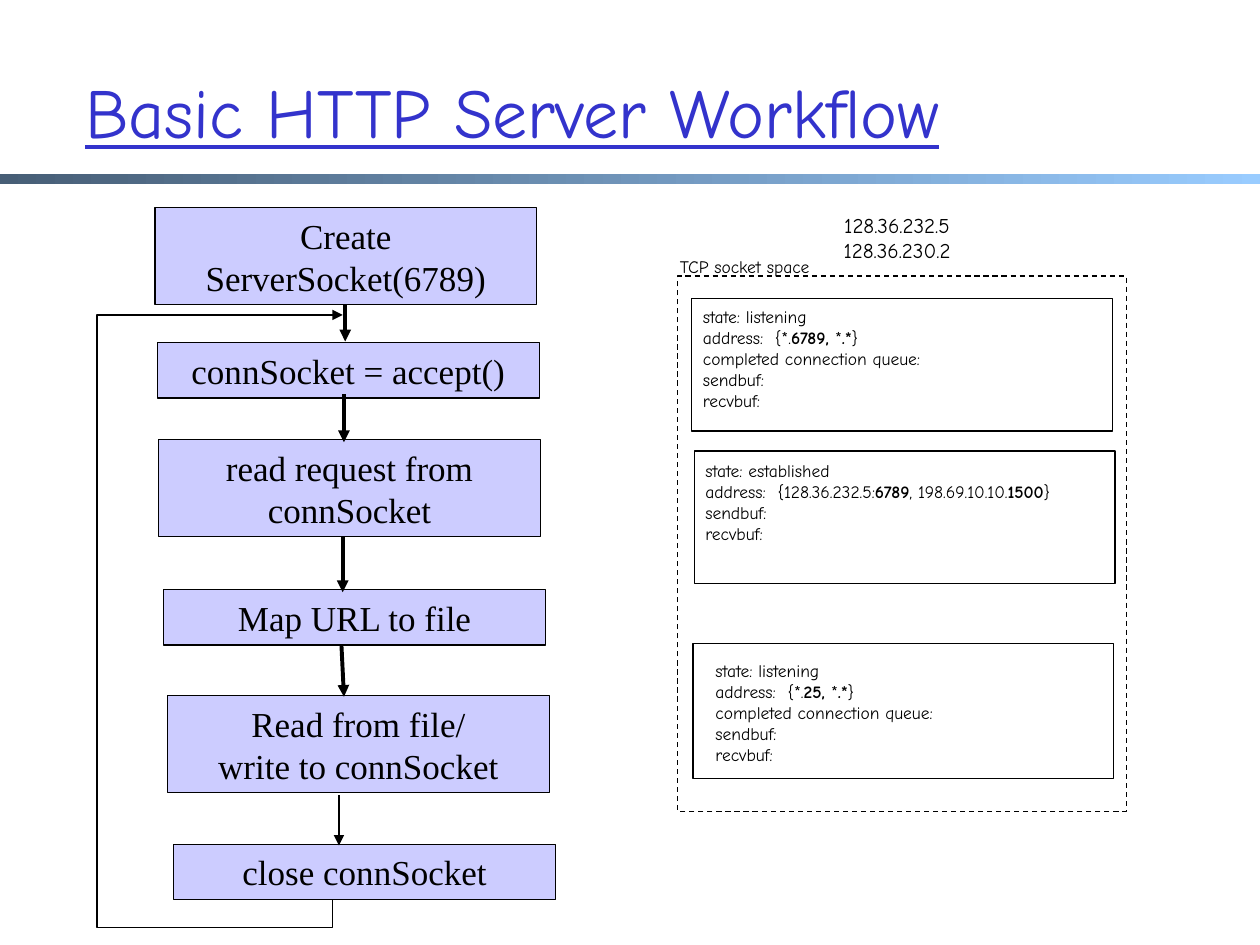
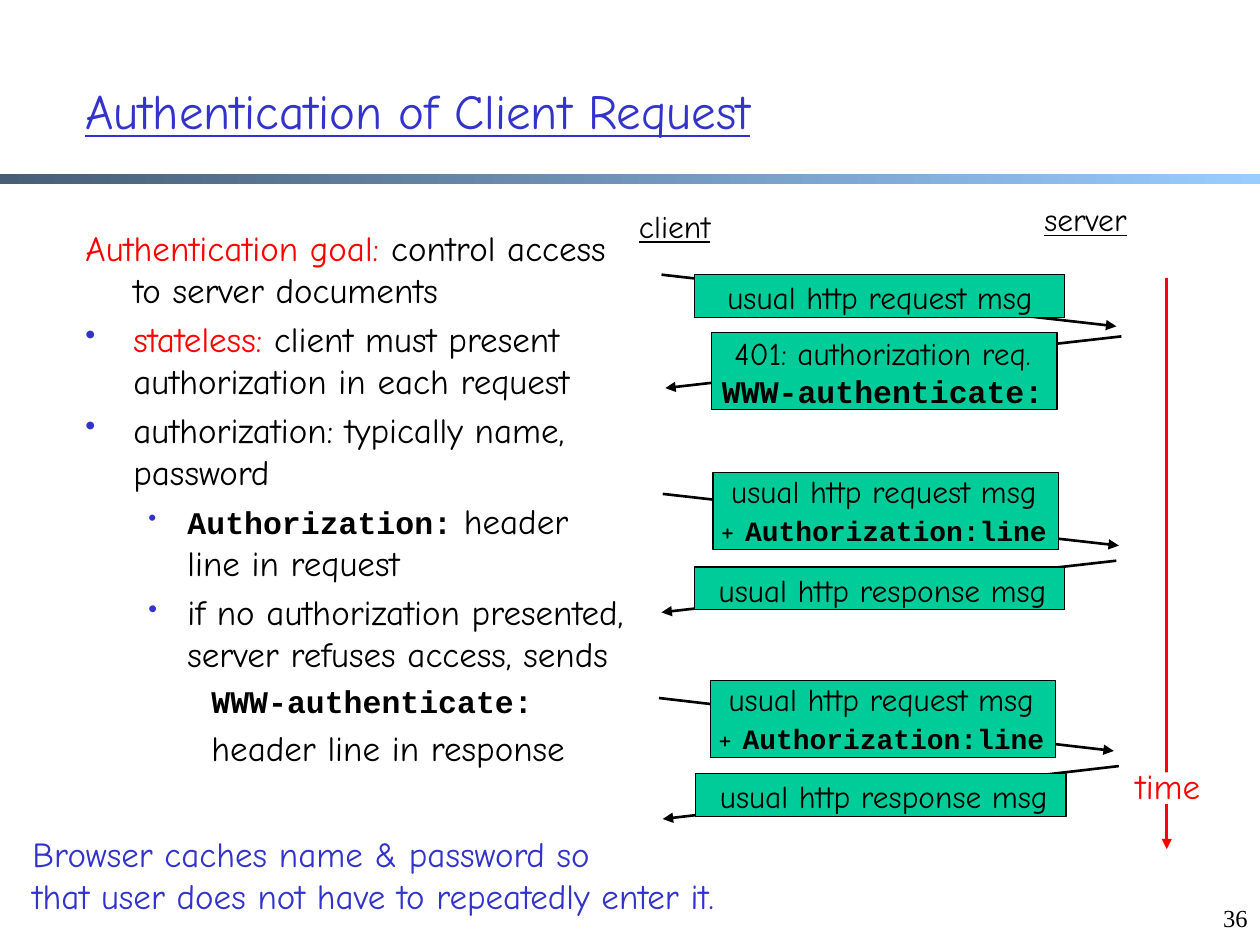
from lxml import etree
from pptx import Presentation
from pptx.dml.color import RGBColor
from pptx.enum.dml import MSO_LINE
from pptx.enum.shapes import MSO_CONNECTOR, MSO_SHAPE
from pptx.enum.text import MSO_ANCHOR, PP_ALIGN
from pptx.oxml.ns import qn
from pptx.util import Inches, Pt

BLACK = RGBColor(0x00, 0x00, 0x00)
WHITE = RGBColor(0xFF, 0xFF, 0xFF)
RED = RGBColor(0xFF, 0x00, 0x00)
BLUE = RGBColor(0x33, 0x33, 0xCC)
LILAC = RGBColor(0xCC, 0xCC, 0xFF)
GREEN = RGBColor(0x00, 0xCC, 0x99)
BAND_DARK = RGBColor(0x47, 0x5E, 0x76)
BAND_LIGHT = RGBColor(0x99, 0xCC, 0xFF)

COMIC, COURIER, TIMES = "Comic Neue", "Courier New", "Times New Roman"

BOLD = {"bold": True}
ALERT = {"color": RED}
CODE = {"name": COURIER, "bold": True}
CODE_18 = {**CODE, "size": 18}
CODE_16 = {**CODE, "size": 16}

# left, top, line count, text
STEPS = [
    (1.23, 1.65, 2, ["Create ServerSocket(6789)"]),
    (1.25, 2.72, 1, ["connSocket = accept()"]),
    (1.26, 3.49, 2, ["read request from connSocket"]),
    (1.30, 4.68, 1, ["Map URL to file"]),
    (1.33, 5.52, 2, ["Read from file/", "write to connSocket"]),
    (1.38, 6.70, 1, ["close connSocket"]),
]
# from, to, width
STEP_ARROWS = [
    ((2.74, 2.42), (2.74, 2.71), 2.25),
    ((2.73, 3.13), (2.73, 3.51), 2.25),
    ((2.72, 4.26), (2.72, 4.70), 2.25),
    ((2.71, 5.12), (2.73, 5.53), 2.25),
    ((2.69, 6.31), (2.69, 6.71), 1.5),
]
LOOP_BACK = [(2.64, 7.14), (2.64, 7.36), (0.77, 7.36), (0.77, 2.5), (2.72, 2.5)]

BUFFERS = ["sendbuf:", "recvbuf:"]
QUEUE = ["completed connection queue:"] + BUFFERS


def listening(port):
    """Return the paragraphs describing a listening socket."""
    address = ["address:  {*.", (port + ", ", BOLD), "*", (".*", BOLD), "}"]
    return ["state: listening", address] + QUEUE


ESTABLISHED = ["state: established",
               ["address:  {128.36.232.5:", ("6789", BOLD),
                ", 198.69.10.10.", ("1500", BOLD), "}"]] + BUFFERS

# frame, text position, text
SOCKETS = [
    ((5.49, 2.37, 3.34, 1.05), (5.48, 2.38, 2.09, 0.93), listening("6789")),
    ((5.51, 3.58, 3.34, 1.05), (5.50, 3.60, 3.42, 0.77), ESTABLISHED),
    ((5.50, 5.11, 3.34, 1.07), (5.58, 5.19, 2.05, 0.93), listening("25")),
]

GOALS = [
    [("Authentication goal:", ALERT), " control access to server documents"],
    [("stateless:", ALERT),
     " client must present authorization in each request"],
    "authorization: typically name, password",
    [("Authorization:", CODE_18), " header line in request"],
    "if no authorization presented, server refuses access, sends",
    [("WWW-authenticate:", CODE_18)],
    "header line in response",
]
# left margin, first line indent, bullet size in percent (0 for no bullet)
PLAIN, POINT = (0.38, -0.38, 0), (0.38, -0.38, 85)
SUBPOINT, DETAIL = (0.81, -0.31, 75), (1.25, -0.25, 0)
GOAL_STYLES = [PLAIN, POINT, POINT, SUBPOINT, SUBPOINT, DETAIL, DETAIL]

REQUEST, RESPONSE = ["usual http request msg"], ["usual http response msg"]
CHALLENGE = ["401: authorization req.", [("WWW-authenticate:", CODE)]]
AUTHORIZED = REQUEST + [["+ ", ("Authorization:line", CODE_16)]]
# arrow from, arrow to, box left and top, text left, top and width, text
MESSAGES = [
    ((5.25, 2.18), (8.86, 2.59), (5.51, 2.18), (5.52, 2.16, 2.93), REQUEST),
    ((8.90, 2.67), (5.28, 3.08), (5.65, 2.64), (5.56, 2.60, 2.89), CHALLENGE),
    ((5.26, 3.92), (8.88, 4.33), (5.66, 3.75), (5.55, 3.70, 2.93), AUTHORIZED),
    ((8.86, 4.45), (5.25, 4.86), (5.51, 4.50), (5.49, 4.48, 3.03), RESPONSE),
    ((5.23, 5.54), (8.84, 5.96), (5.64, 5.40), (5.53, 5.35, 2.93), AUTHORIZED),
    ((8.88, 6.08), (5.26, 6.50), (5.52, 6.14), (5.50, 6.12, 3.03), RESPONSE),
]


def style_run(r, name=None, size=None, bold=None, color=None):
    """Apply what a run changes from its paragraph."""
    f = r.font
    f.name, f.bold = name, bold
    if size:
        f.size = Pt(size)
    if color is not None:
        f.color.rgb = color


def fill_text(tf, paragraphs, size, name=COMIC, color=BLACK,
              align=PP_ALIGN.LEFT, underline=None):
    """Write paragraphs; each is a string or a list of plain or styled runs."""
    tf.word_wrap = True
    for i, parts in enumerate(paragraphs):
        p = tf.paragraphs[0] if i == 0 else tf.add_paragraph()
        p.alignment = align
        f = p.font
        f.name, f.size, f.underline = name, Pt(size), underline
        f.color.rgb = color
        for part in [parts] if isinstance(parts, str) else parts:
            text, changes = (part, {}) if isinstance(part, str) else part
            r = p.add_run()
            r.text = text
            # Runs carry the full font so that every viewer shows it.
            style_run(r, **{"name": name, "size": size, "color": color,
                            **changes})
            r.font.underline = underline


def add_text(slide, box, paragraphs, size, anchor=MSO_ANCHOR.TOP, **style):
    """Add a text box and return its text frame."""
    tf = slide.shapes.add_textbox(*map(Inches, box)).text_frame
    tf.vertical_anchor = anchor
    fill_text(tf, paragraphs, size, **style)
    return tf


def add_rect(slide, box, fill=None, line=BLACK):
    """Add a rectangle, with or without a fill and a thin line."""
    sp = slide.shapes.add_shape(MSO_SHAPE.RECTANGLE, *map(Inches, box))
    sp.shadow.inherit = False
    if fill is None:
        sp.fill.background()
    else:
        sp.fill.solid()
        sp.fill.fore_color.rgb = fill
    if line is None:
        sp.line.fill.background()
    else:
        sp.line.color.rgb = line
        sp.line.width = Pt(0.75)
    return sp


def add_arrowhead(sp):
    """Put a triangle at the end of a line."""
    ln = sp.line._get_or_add_ln()
    etree.SubElement(ln, qn("a:tailEnd"), type="triangle")


def add_arrow(slide, start, end, width=1.5, color=BLACK):
    """Add a straight arrow."""
    cx = slide.shapes.add_connector(MSO_CONNECTOR.STRAIGHT,
                                    *map(Inches, start + end))
    cx.line.color.rgb = color
    cx.line.width = Pt(width)
    add_arrowhead(cx)
    etree.SubElement(cx._element.spPr, qn("a:effectLst"))


def add_path_arrow(slide, points):
    """Add an open bent arrow through the points."""
    start, *rest = [(Inches(x), Inches(y)) for x, y in points]
    builder = slide.shapes.build_freeform(*start)
    builder.add_line_segments(rest, close=False)
    sp = builder.convert_to_shape()
    sp.shadow.inherit = False
    sp.fill.background()
    sp.line.color.rgb = BLACK
    sp.line.width = Pt(0.75)
    add_arrowhead(sp)


def set_indent(p, left, first, bullet_size):
    """Set a paragraph's indents and its bullet, if it has one."""
    pPr = p._p.get_or_add_pPr()
    pPr.set("marL", str(Inches(left)))
    pPr.set("indent", str(Inches(first)))
    p.space_before = Pt(4)
    parts = []
    if bullet_size:
        color = etree.Element(qn("a:buClr"))
        etree.SubElement(color, qn("a:srgbClr"), val=str(BLUE))
        size = etree.Element(qn("a:buSzPct"), val=str(bullet_size * 1000))
        parts = [color, size, etree.Element(qn("a:buChar"), char="\u2022")]
    else:
        parts = [etree.Element(qn("a:buNone"))]
    font = pPr.find(qn("a:defRPr"))
    for part in parts:
        font.addprevious(part)


def new_slide(prs, title, size):
    """Add a slide with the gradient band and an underlined title."""
    slide = prs.slides.add_slide(prs.slide_layouts[6])
    band = add_rect(slide, (0, 1.38, 10, 0.08), line=None)
    band.fill.gradient()
    band.fill.gradient_angle = 0
    for stop, color in zip(band.fill.gradient_stops, (BAND_DARK, BAND_LIGHT)):
        stop.color.rgb = color
    add_text(slide, (0.58, 0.25, 8.5, 1.25), [title], size,
             anchor=MSO_ANCHOR.MIDDLE, color=BLUE, underline=True)
    return slide


def add_step(slide, left, top, lines, paragraphs):
    """Add one flowchart box, as tall as its lines need."""
    sp = add_rect(slide, (left, top, 3.03, 0.11 + 0.33 * lines), LILAC)
    sp.text_frame.vertical_anchor = MSO_ANCHOR.MIDDLE
    fill_text(sp.text_frame, paragraphs, 20, name=TIMES,
              align=PP_ALIGN.CENTER)


def add_message(slide, start, end, corner, text_at, paragraphs):
    """Add a message arrow with its label box on top."""
    add_arrow(slide, start, end)
    two_lines = len(paragraphs) == 2
    add_rect(slide, corner + ((2.74, 0.61) if two_lines else (2.94, 0.34)),
             GREEN)
    add_text(slide, text_at + (0.7 if two_lines else 0.4,), paragraphs, 18,
             align=PP_ALIGN.CENTER)


def build_workflow(prs):
    """Build the server flowchart beside the socket space."""
    slide = new_slide(prs, "Basic HTTP Server Workflow", 40)
    space = add_rect(slide, (5.38, 2.19, 3.56, 4.25))
    space.line.dash_style = MSO_LINE.DASH
    add_text(slide, (5.25, 1.98, 1.32, 0.27), ["TCP socket space"], 10,
             align=PP_ALIGN.CENTER)
    add_text(slide, (6.51, 1.64, 1.22, 0.5),
             ["128.36.232.5", "128.36.230.2"], 12, align=PP_ALIGN.CENTER)
    for frame, text_at, paragraphs in SOCKETS:
        add_rect(slide, frame)
        add_text(slide, text_at, paragraphs, 10)
    for step in STEPS:
        add_step(slide, *step)
    for arrow in STEP_ARROWS:
        add_arrow(slide, *arrow)
    add_path_arrow(slide, LOOP_BACK)


def build_authentication(prs):
    """Build the authentication points beside the message exchange."""
    slide = new_slide(prs, "Authentication of Client Request", 28)
    add_text(slide, (9.5, 7.12, 0.5, 0.5), ["36"], 14, name=TIMES,
             align=PP_ALIGN.RIGHT)
    tf = add_text(slide, (0.58, 1.75, 4.47, 4.71), GOALS, 20)
    for p, indent in zip(tf.paragraphs, GOAL_STYLES):
        set_indent(p, *indent)
    for box, party in [((4.82, 1.59, 1.07, 0.5), "client"),
                       ((8.01, 1.54, 1.21, 0.5), "server")]:
        add_text(slide, box, [party], 18, align=PP_ALIGN.CENTER,
                 underline=True)
    for message in MESSAGES:
        add_message(slide, *message)
    add_arrow(slide, (9.26, 2.21), (9.26, 6.74), color=RED)
    add_rect(slide, (8.97, 6.13, 0.62, 0.25), WHITE, line=None)
    add_text(slide, (8.88, 6.02, 0.78, 0.43), ["time"], 20, color=RED,
             align=PP_ALIGN.CENTER)
    add_text(slide, (0.16, 6.56, 6.27, 0.77),
             ["Browser caches name & password so",
              "that user does not have to repeatedly enter it."],
             20, color=BLUE)


def main():
    """Build and save the presentation."""
    prs = Presentation()
    prs.slide_width, prs.slide_height = Inches(10), Inches(7.5)
    build_workflow(prs)
    build_authentication(prs)
    prs.save("out.pptx")


main()
